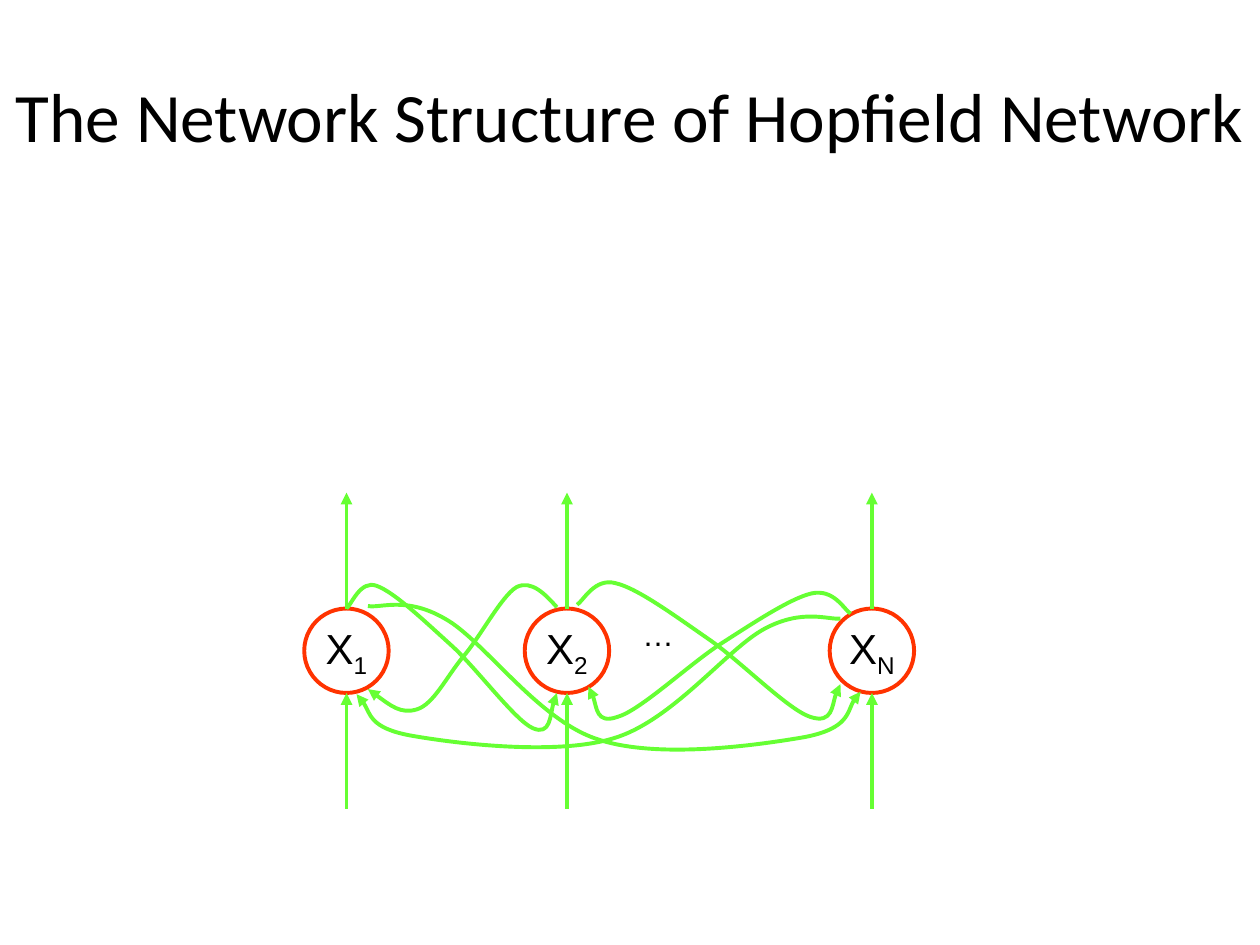
"""Build the slide that shows the structure of a Hopfield network."""
from lxml import etree
from pptx import Presentation
from pptx import util as u
from pptx.dml.color import RGBColor
from pptx.enum import shapes, text
from pptx.oxml import ns

BLACK = RGBColor(0x00, 0x00, 0x00)
RED = RGBColor(0xFF, 0x33, 0x00)
GREEN = RGBColor(0x66, 0xFF, 0x33)

NODES = [("1", 2.75), ("2", 4.5), ("N", 6.92)]
DIAMETER = 0.67
NODE_TOP, NODE_BOTTOM = 4.83, 5.5
ARROW_LENGTH = 0.92

FEEDBACK = [
    [(2.75, 4.83), (2.79, 4.8), (2.86, 4.6), (2.99, 4.65), (3.13, 4.7), (3.37, 4.93), (3.58, 5.12),
     (3.78, 5.3), (4.09, 5.72), (4.23, 5.78), (4.37, 5.84), (4.38, 5.56), (4.42, 5.5)],
    [(2.92, 4.81), (3.02, 4.83), (3.22, 4.73), (3.53, 4.91), (3.84, 5.08), (4.27, 5.72), (4.75, 5.87),
     (5.23, 6.03), (6.04, 5.91), (6.39, 5.85), (6.74, 5.78), (6.74, 5.56), (6.83, 5.49)],
    [(4.42, 4.82), (4.33, 4.72), (4.22, 4.6), (4.1, 4.66), (3.98, 4.73), (3.81, 5.06), (3.67, 5.22),
     (3.54, 5.38), (3.44, 5.59), (3.31, 5.63), (3.18, 5.67), (3.06, 5.57), (2.92, 5.47)],
    [(4.58, 4.8), (4.63, 4.77), (4.72, 4.58), (4.89, 4.63), (5.06, 4.67), (5.36, 4.89), (5.62, 5.07),
     (5.87, 5.24), (6.25, 5.63), (6.43, 5.69), (6.61, 5.75), (6.62, 5.48), (6.67, 5.43)],
    [(6.75, 4.87), (6.7, 4.84), (6.62, 4.67), (6.44, 4.71), (6.27, 4.75), (5.97, 4.95), (5.72, 5.11),
     (5.46, 5.28), (5.08, 5.64), (4.9, 5.69), (4.73, 5.75), (4.72, 5.5), (4.67, 5.45)],
    [(6.67, 4.91), (6.57, 4.92), (6.37, 4.83), (6.07, 4.99), (5.77, 5.15), (5.34, 5.72), (4.87, 5.86),
     (4.41, 6), (3.61, 5.9), (3.27, 5.84), (2.93, 5.78), (2.92, 5.58), (2.83, 5.51)],
]


def write(para, content, size=24, font="Arial", color=BLACK, baseline=None):
    span = para.add_run()
    span.text = content
    span.font.size = u.Pt(size)
    span.font.name = font
    span.font.color.rgb = color
    if baseline is not None:
        span._r.get_or_add_rPr().set("baseline", str(baseline * 1000))


class Diagram:
    def __init__(self, page, line_width=2.25):
        self.page = page
        self.line_width = u.Pt(line_width)

    def outline(self, line, color):
        line.color.rgb = color
        line.width = self.line_width

    def arrow_style(self, item):
        self.outline(item.line, GREEN)
        etree.SubElement(item.line._get_or_add_ln(), ns.qn("a:tailEnd"), type="triangle")

    def label(self, left, top, width, height, anchor=text.MSO_ANCHOR.TOP):
        box = self.page.shapes.add_textbox(*map(u.Inches, (left, top, width, height)))
        box.text_frame.word_wrap = True
        box.text_frame.vertical_anchor = anchor
        return box.text_frame.paragraphs[0]

    def node(self, index, center):
        circle = self.page.shapes.add_shape(
            shapes.MSO_SHAPE.OVAL, u.Inches(center - DIAMETER / 2), u.Inches(NODE_TOP),
            u.Inches(DIAMETER), u.Inches(DIAMETER))
        circle.shadow.inherit = False
        circle.fill.background()
        self.outline(circle.line, RED)
        frame = circle.text_frame
        frame.word_wrap = False
        frame.vertical_anchor = text.MSO_ANCHOR.MIDDLE
        para = frame.paragraphs[0]
        para.alignment = text.PP_ALIGN.CENTER
        write(para, "X")
        write(para, index, baseline=-25)

    def up_arrow(self, x, start):
        arrow = self.page.shapes.add_connector(
            shapes.MSO_CONNECTOR.STRAIGHT, u.Inches(x), u.Inches(start),
            u.Inches(x), u.Inches(start - ARROW_LENGTH))
        self.arrow_style(arrow)
        etree.SubElement(arrow._element.spPr, ns.qn("a:effectLst"))

    def curve(self, points):
        start, *rest = [(u.Inches(x), u.Inches(y)) for x, y in points]
        builder = self.page.shapes.build_freeform(*start)
        builder.add_line_segments(rest, close=False)
        link = builder.convert_to_shape()
        link.shadow.inherit = False
        link.fill.background()
        self.arrow_style(link)
        segments = list(link._element.iter(ns.qn("a:lnTo")))
        for first in range(0, len(segments), 3):
            bezier = etree.Element(ns.qn("a:cubicBezTo"))
            segments[first].addprevious(bezier)
            for segment in segments[first:first + 3]:
                bezier.append(segment[0])
                segment.getparent().remove(segment)


def main():
    deck = Presentation()
    deck.slide_width, deck.slide_height = u.Inches(10), u.Inches(7.5)
    diagram = Diagram(deck.slides.add_slide(deck.slide_layouts[6]))

    title = diagram.label(0, 0.5, 10, 0.83, anchor=text.MSO_ANCHOR.MIDDLE)
    title.alignment = text.PP_ALIGN.CENTER
    write(title, "The Network Structure of Hopfield Network", size=39.6, font="Calibri")

    for index, center in NODES:
        diagram.node(index, center)
    for _, center in NODES:
        diagram.up_arrow(center, NODE_BOTTOM + ARROW_LENGTH)
        diagram.up_arrow(center, NODE_TOP)

    dots = diagram.label(5, 4.83, 0.83, 0.58)
    dots.space_before, dots.space_after = u.Pt(2), u.Pt(5)
    write(dots, "…", size=18)

    for points in FEEDBACK:
        diagram.curve(points)
    deck.save("out.pptx")


if __name__ == "__main__":
    main()
